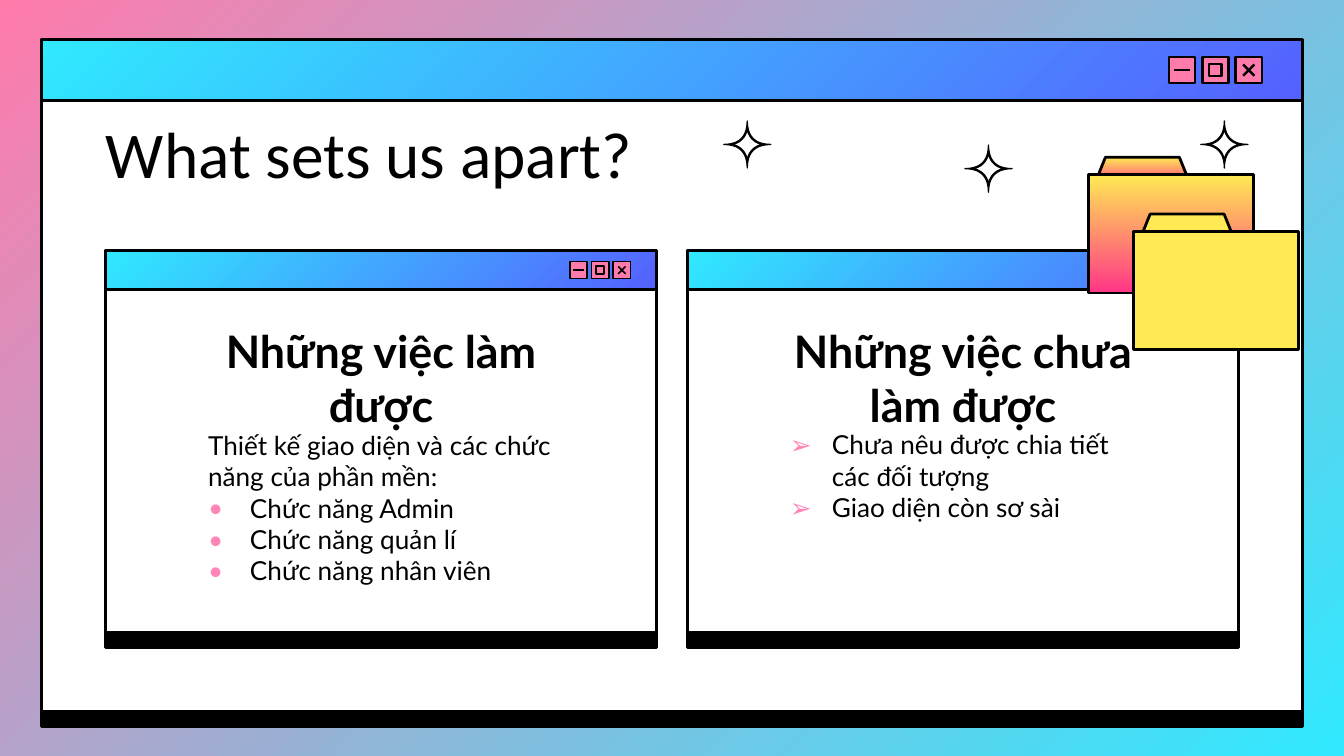
from dataclasses import dataclass
from math import cos, copysign, pi, sin

from lxml.etree import SubElement
from pptx import Presentation
from pptx.dml.color import RGBColor
from pptx.enum.shapes import MSO_CONNECTOR as Connector, MSO_SHAPE as Preset
from pptx.enum.text import MSO_ANCHOR as Anchor, PP_ALIGN as Align
from pptx.oxml.ns import qn
from pptx.util import Inches, Pt

COLUMNS, ROWS = 100, 56.25  # square grid cells of 0.1 inch


@dataclass(frozen=True)
class Theme:
    ink: str = "000000"
    paper: str = "FFFFFF"
    button: str = "FF7BAC"
    bullet: str = "FF86B7"
    bullet_font: str = "Lato"
    yellow: str = "FFEA54"
    backdrop: tuple = ("FF7BAC", "30E9FF", 45)
    bar: tuple = ("30E9FF", "5561FF", 45)
    sunset: tuple = ("FFEA54", "FF3587", 90)
    outline: float = 1.5
    shadow: float = 8.2
    title: tuple = (("name", "Calibri"), ("size", Pt(35)))
    heading: tuple = (("name", "Lato"), ("size", Pt(24)), ("bold", True))
    body: tuple = (("name", "Lato"), ("size", Pt(14)))


def grid(cells):
    return Inches(cells / 10)


def paint(fill, color):
    """Fill with one colour, or with (first, last, clockwise angle)."""
    if color is None:
        fill.background()
    elif isinstance(color, str):
        fill.solid()
        fill.fore_color.rgb = RGBColor.from_string(color)
    else:
        *ends, angle = color
        fill.gradient()
        fill.gradient_angle = 360 - angle
        for stop, end in zip(fill.gradient_stops, ends):
            stop.color.rgb = RGBColor.from_string(end)


class SlideBuilder:
    def __init__(self, slide, theme):
        self.slide, self.theme = slide, theme
        paint(slide.background.fill, theme.backdrop)

    def dress(self, shape, fill, width):
        shape.shadow.inherit = False
        paint(shape.fill, fill)
        paint(shape.line.fill, self.theme.ink)
        shape.line.width = Pt(width)
        return shape

    def box(self, shapes, left, top, width, height, fill, line=None):
        shape = shapes.add_shape(Preset.RECTANGLE, *map(grid, (left, top, width, height)))
        return self.dress(shape, fill, line or self.theme.outline)

    def stroke(self, shapes, ends, width):
        line = shapes.add_connector(Connector.STRAIGHT, *map(grid, ends))
        paint(line.line.fill, self.theme.ink)
        line.line.width = Pt(width)
        SubElement(line._element.spPr, qn("a:effectLst"))

    def outline(self, shapes, contours, fill, width):
        first, *others = [[(grid(x), grid(y)) for x, y in points] for points in contours]
        builder = shapes.build_freeform(*first[0])
        builder.add_line_segments(first[1:])
        for points in others:
            builder.move_to(*points[0])
            builder.add_line_segments(points[1:])
        return self.dress(builder.convert_to_shape(), fill, width)

    def hard_shadow(self, shape):
        effects = shape._element.spPr.find(qn("a:effectLst"))
        shadow = SubElement(effects, qn("a:outerShdw"), blurRad="0", dir="5400000",
                            dist=str(Pt(self.theme.shadow)), algn="bl", rotWithShape="0")
        SubElement(shadow, qn("a:srgbClr"), val=self.theme.ink)

    def window(self, left, top, width, height, bar, buttons=True):
        shapes = self.slide.shapes.add_group_shape().shapes
        self.hard_shadow(self.box(shapes, left, top, width, height, self.theme.paper))
        self.box(shapes, left, top, width, bar, self.theme.bar)
        if buttons:
            self.window_buttons(shapes, left + width, top + bar / 2, bar / 4.5)

    def window_buttons(self, shapes, right, y, scale):
        """Minimise, maximise and close, sized in step with the title bar."""
        pen = 1.3 * scale
        half, arm, cross, frame = (scale * size for size in (0.98, 0.6, 0.42, 0.46))
        minimise, maximise, close = (right - scale * (3.98 + 2.48 * step) for step in (2, 1, 0))
        for x in (minimise, maximise, close):
            self.box(shapes, x - half, y - half, 2 * half, 2 * half, self.theme.button, pen)
        self.stroke(shapes, (minimise - arm, y, minimise + arm, y), pen)
        self.box(shapes, maximise - frame, y - frame, 2 * frame, 2 * frame, None, pen)
        for rise in (cross, -cross):
            self.stroke(shapes, (close - cross, y - rise, close + cross, y + rise), pen)

    def sparkle(self, x, y):
        def star(radius, power, steps=64):
            def reach(value):
                return copysign(radius * abs(value) ** power, value)
            angles = [2 * pi * step / steps for step in range(steps)]
            return [(x + reach(cos(a)), y + reach(sin(a))) for a in angles]

        self.outline(self.slide.shapes, [star(1.75, 4), star(1.25, 3.4)], self.theme.ink, 0.75)

    def folder(self, shapes, left, top, fill):
        tab = [(left + x, top + y) for x, y in ((1.25, -1.3), (0.4, 0.8), (7.6, 0.8), (6.75, -1.3))]
        self.outline(shapes, [tab], fill, self.theme.outline)
        self.box(shapes, left, top, 12.3, 8.8, fill)

    def text(self, area, lines, style, align=Align.LEFT, anchor=Anchor.TOP):
        """Each line is a pair: bullet character or None, and wording."""
        frame = self.slide.shapes.add_textbox(*map(grid, area)).text_frame
        margins = {f"margin_{side}": grid(1) for side in ("left", "top", "right", "bottom")}
        for name, value in {"word_wrap": True, "vertical_anchor": anchor, **margins}.items():
            setattr(frame, name, value)
        for index, (bullet, wording) in enumerate(lines):
            paragraph = frame.add_paragraph() if index else frame.paragraphs[0]
            paragraph.alignment = align
            if bullet:
                self.add_bullet(paragraph, bullet)
            run = paragraph.add_run()
            run.text = wording
            for name, value in style:
                setattr(run.font, name, value)
            run.font.color.rgb = RGBColor.from_string(self.theme.ink)

    def add_bullet(self, paragraph, character):
        properties = paragraph._p.get_or_add_pPr()
        properties.set("marL", str(grid(3.12)))
        properties.set("indent", str(-grid(3.12)))
        color = SubElement(properties, qn("a:buClr"))
        SubElement(color, qn("a:srgbClr"), val=self.theme.bullet)
        SubElement(properties, qn("a:buFont"), typeface=self.theme.bullet_font)
        SubElement(properties, qn("a:buChar"), char=character)


def main():
    presentation = Presentation()
    presentation.slide_width, presentation.slide_height = grid(COLUMNS), grid(ROWS)
    theme = Theme()
    slide = presentation.slides.add_slide(presentation.slide_layouts[6])
    builder = SlideBuilder(slide, theme)

    # Main window and sparkles
    builder.window(3.1, 2.97, 93.8, 49.95, 4.5)
    for x, y in ((91.1, 10.75), (73.55, 12.55), (55.6, 10.75)):
        builder.sparkle(x, y)

    # Two panels, each with a heading and its points; the folders cover the right buttons
    panels = [
        (51.15, False, "Những việc chưa làm được", 30.9, [
            ("➢", "Chưa nêu được chia tiết các đối tượng"),
            ("➢", "Giao diện còn sơ sài")]),
        (7.85, True, "Những việc làm được", 30.95, [
            (None, "Thiết kế giao diện và các chức năng của phần mền:"),
            ("•", "Chức năng Admin"),
            ("•", "Chức năng quản lí"),
            ("•", "Chức năng nhân viên")]),
    ]
    for left, buttons, heading, body_top, points in panels:
        builder.window(left, 18.64, 41, 28.4, 2.92, buttons)
        builder.text((left + 6.65, 25.2, 27.7, 5.8), [(None, heading)], theme.heading,
                     Align.CENTER, Anchor.MIDDLE)
        builder.text((left + 6.65, body_top, 27.7, 11.3), points, theme.body)

    # Title
    builder.text((6.9, 8.46, 85.3, 5.8), [(None, "What sets us apart?")], theme.title,
                 anchor=Anchor.MIDDLE)

    # Folders
    folders = slide.shapes.add_group_shape().shapes
    builder.folder(folders, 81, 13, theme.sunset)
    builder.folder(folders, 84.33, 17.23, theme.yellow)

    presentation.save("out.pptx")


if __name__ == "__main__":
    main()
